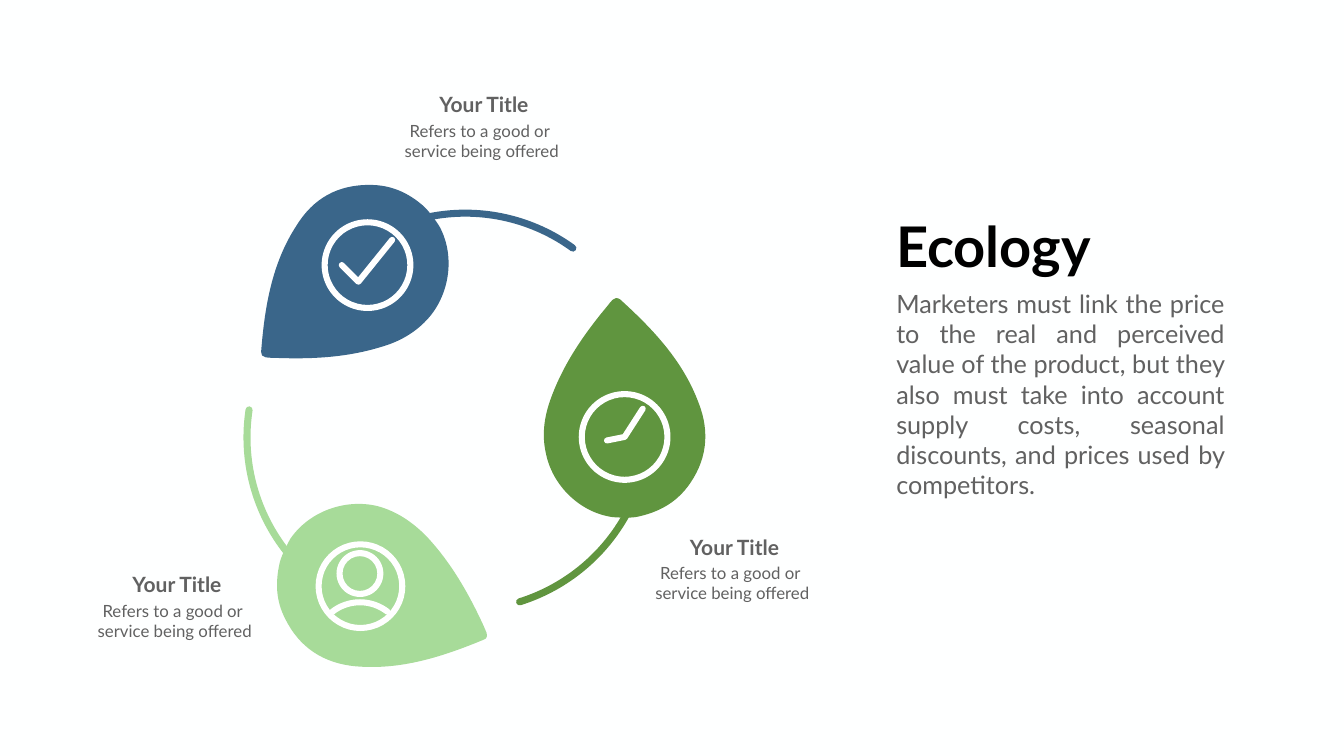
from dataclasses import dataclass
from math import cos, radians, sin, tan

from lxml import etree
from pptx import Presentation
from pptx.dml.color import RGBColor
from pptx.enum.shapes import MSO_SHAPE
from pptx.enum.text import PP_ALIGN
from pptx.util import Inches, Pt

DONUT = MSO_SHAPE.DONUT
LEFT, CENTER, JUSTIFY = PP_ALIGN.LEFT, PP_ALIGN.CENTER, PP_ALIGN.JUSTIFY
NS = "{http://schemas.openxmlformats.org/drawingml/2006/main}"
Point = tuple[float, float]
Curve = tuple[Point, Point, Point]


@dataclass(frozen=True)
class Theme:
    back: str = "FEFFFF"
    blue: str = "3A668A"
    green: str = "60953F"
    light: str = "A7DB99"
    white: str = "FFFFFF"
    black: str = "000000"
    gray: str = "616161"
    font: str = "Lato"
    head: int = 80
    body: int = 36
    label: int = 30
    note: int = 24
    stroke: float = 0.12
    band: float = 0.14


@dataclass(frozen=True)
class Arc:
    center: Point
    radius: float
    start: float
    end: float


@dataclass(frozen=True)
class Step:
    """One drop; its curves each hold two control points and an end point."""
    color: str
    begin: Point
    curves: list[Curve]
    arc: Arc
    icon: Point
    ring: float
    label: Point


THEME = Theme()
STEPS = [
    Step(THEME.green, (12.66, 10.25), [
        ((13.06, 10.16), (13.38, 9.99), (13.63, 9.67)),
        ((14.02, 9.16), (14.09, 8.59), (13.86, 8)),
        ((13.55, 7.16), (12.95, 6.53), (12.3, 5.94)),
        ((12.24, 5.9), (12.19, 5.91), (12.15, 5.95)),
        ((12.11, 5.99), (12.08, 6.03), (12.05, 6.07)),
        ((11.59, 6.62), (11.19, 7.2), (10.94, 7.87)),
        ((10.8, 8.24), (10.74, 8.61), (10.83, 9)),
        ((10.96, 9.64), (11.51, 10.17), (12.15, 10.26)),
        ((12.15, 10.26), (12.5, 10.29), (12.66, 10.25)),
    ], Arc((9.21, 8.44), 3.67, -18.4, 72.6), (12.39, 8.67), 1.82, (13.45, 10.55)),
    Step(THEME.blue, (8.39, 4.08), [
        ((8.09, 3.82), (7.75, 3.67), (7.35, 3.67)),
        ((6.7, 3.66), (6.21, 3.94), (5.88, 4.48)),
        ((5.39, 5.23), (5.25, 6.1), (5.18, 6.98)),
        ((5.17, 7.04), (5.21, 7.08), (5.27, 7.09)),
        ((5.32, 7.1), (5.38, 7.1), (5.43, 7.1)),
        ((6.14, 7.13), (6.85, 7.1), (7.54, 6.89)),
        ((7.9, 6.79), (8.24, 6.61), (8.51, 6.3)),
        ((8.93, 5.81), (9.03, 5.05), (8.71, 4.48)),
        ((8.71, 4.48), (8.53, 4.2), (8.39, 4.08)),
    ], Arc((9.23, 7.86), 3.63, 214, 306), (7.29, 5.26), 1.82, (8.48, 1.77)),
    Step(THEME.light, (5.55, 11.16), [
        ((5.46, 11.55), (5.47, 11.92), (5.66, 12.28)),
        ((5.94, 12.85), (6.42, 13.16), (7.05, 13.22)),
        ((7.95, 13.3), (8.78, 13.03), (9.6, 12.69)),
        ((9.66, 12.67), (9.67, 12.62), (9.65, 12.55)),
        ((9.63, 12.5), (9.61, 12.46), (9.59, 12.41)),
        ((9.29, 11.76), (8.94, 11.15), (8.45, 10.63)),
        ((8.17, 10.35), (7.86, 10.14), (7.48, 10.04)),
        ((6.84, 9.89), (6.13, 10.15), (5.76, 10.69)),
        ((5.76, 10.69), (5.59, 10.99), (5.55, 11.16)),
    ], Arc((8.56, 8.68), 3.66, 97.5, 188.6), (7.15, 11.63), 1.78, (2.39, 11.3)),
]
CLOCK = [(12.75, 8.11), (12.39, 8.67), (12.04, 8.74)]
CHECK = [(6.78, 5.26), (7.11, 5.59), (7.78, 4.76)]
HEAD = (7.14, 11.38)
TORSO = Arc((7.14, 12.84), 0.89, 232, 308)


def rgb(color: str) -> RGBColor:
    return RGBColor.from_string(color)


def polar(center: Point, radius: float, angle: float) -> Point:
    turn = radians(angle)
    return center[0] + radius * cos(turn), center[1] + radius * sin(turn)


def sweep(center: Point, radius: float, start: float, end: float) -> list[Curve]:
    """Two curves that follow a circle."""
    turn = (end - start) / 2
    pull = radius * 4 / 3 * tan(radians(turn) / 4)
    curves = []
    for angle in (start, start + turn):
        first = polar(center, radius, angle)
        last = polar(center, radius, angle + turn)
        curves.append((polar(first, pull, angle + 90),
                       polar(last, -pull, angle + turn + 90), last))
    return curves


def trace(slide, dots: list[Point], closed: bool):
    marks = [(Inches(x), Inches(y)) for x, y in dots]
    pen = slide.shapes.build_freeform(*marks[0])
    pen.add_line_segments(marks[1:], close=closed)
    shape = pen.convert_to_shape()
    shape.shadow.inherit = False
    return shape


def paint(shape, color: str) -> None:
    shape.fill.solid()
    shape.fill.fore_color.rgb = rgb(color)
    shape.line.fill.background()


def add_blob(slide, begin: Point, curves: list[Curve], color: str) -> None:
    """A filled outline whose line segments are joined by threes into curves."""
    shape = trace(slide, [begin] + [dot for curve in curves for dot in curve], True)
    lines = list(shape._element.iter(f"{NS}lnTo"))
    for i in range(0, len(lines), 3):
        bend = etree.Element(f"{NS}cubicBezTo")
        lines[i].addprevious(bend)
        for line in lines[i:i + 3]:
            bend.append(line[0])
            line.getparent().remove(line)
    paint(shape, color)


def add_band(slide, arc: Arc, width: float, color: str) -> None:
    """A curved bar with round ends."""
    half = width / 2
    first = polar(arc.center, arc.radius, arc.start)
    last = polar(arc.center, arc.radius, arc.end)
    curves = (sweep(arc.center, arc.radius + half, arc.start, arc.end)
              + sweep(last, half, arc.end, arc.end + 180)
              + sweep(arc.center, arc.radius - half, arc.end, arc.start)
              + sweep(first, half, arc.start + 180, arc.start + 360))
    add_blob(slide, curves[-1][-1], curves, color)


def add_stroke(slide, dots: list[Point]) -> None:
    shape = trace(slide, dots, False)
    shape.fill.background()
    shape.line.color.rgb = rgb(THEME.white)
    shape.line.width = Inches(THEME.stroke)
    edge = shape.line._get_or_add_ln()
    edge.set("cap", "rnd")
    etree.SubElement(edge, f"{NS}round")


def add_ring(slide, center: Point, size: float) -> None:
    left, top = (Inches(c - size / 2) for c in center)
    ring = slide.shapes.add_shape(DONUT, left, top, Inches(size), Inches(size))
    ring.shadow.inherit = False
    ring.adjustments[0] = THEME.stroke / size
    paint(ring, THEME.white)


def add_text(slide, text: str, left: float, top: float, width: float, height: float, *,
             size: int, color: str = THEME.gray, bold: bool = False, align=LEFT) -> None:
    box = slide.shapes.add_textbox(Inches(left), Inches(top), Inches(width), Inches(height))
    frame = box.text_frame
    frame.word_wrap = True
    frame.text = text
    for para in frame.paragraphs:
        para.alignment = align
        for run in para.runs:
            font = run.font
            font.name, font.size, font.bold = THEME.font, Pt(size), bold
            font.color.rgb = rgb(color)


def add_step(slide, step: Step) -> None:
    add_blob(slide, step.begin, step.curves, step.color)
    add_band(slide, step.arc, THEME.band, step.color)
    add_ring(slide, step.icon, step.ring)
    left, top = step.label
    add_text(slide, "Your Title", left, top, 2.24, 0.71,
             size=THEME.label, bold=True, align=CENTER)
    add_text(slide, "Refers to a good or \nservice being offered", left - 0.63, top + 0.57,
             3.41, 1.04, size=THEME.note, align=CENTER)


def main() -> None:
    deck = Presentation()
    deck.slide_width, deck.slide_height = Inches(26.66), Inches(15)
    slide = deck.slides.add_slide(deck.slide_layouts[6])
    slide.background.fill.solid()
    slide.background.fill.fore_color.rgb = rgb(THEME.back)
    for step in STEPS:
        add_step(slide, step)
    for hands in (CLOCK, CHECK):
        add_stroke(slide, hands)
    add_ring(slide, HEAD, 0.93)
    add_band(slide, TORSO, THEME.stroke, THEME.white)
    add_text(slide, "Ecology", 17.68, 4.14, 4.24, 1.45,
             size=THEME.head, color=THEME.black, bold=True)
    add_text(slide, "Marketers must link the price to the real and perceived value of the "
             "product, but they also must take into account supply costs, seasonal "
             "discounts, and prices used by competitors.", 17.68, 5.67, 6.71, 4.4,
             size=THEME.body, align=JUSTIFY)
    deck.save("out.pptx")


if __name__ == "__main__":
    main()
